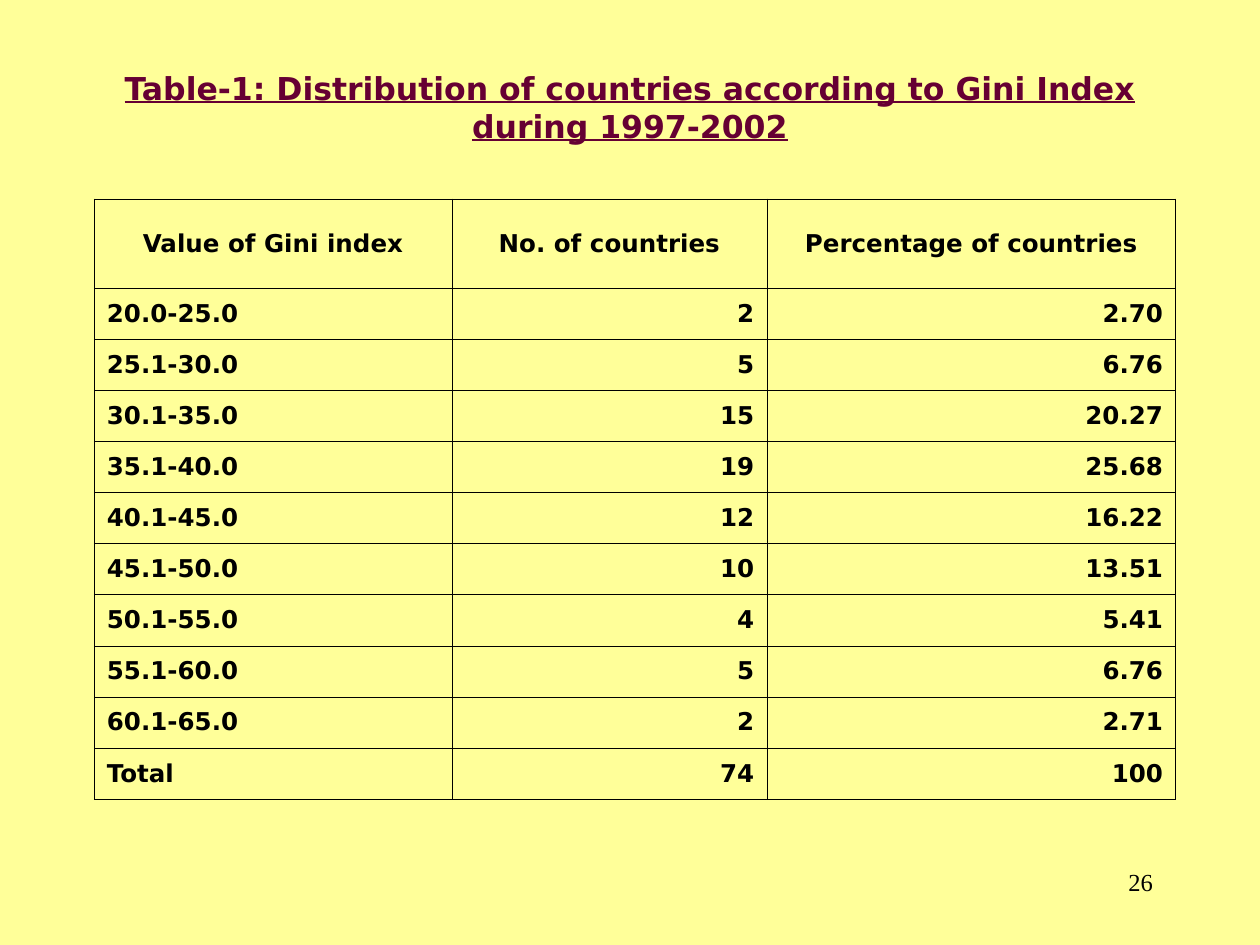
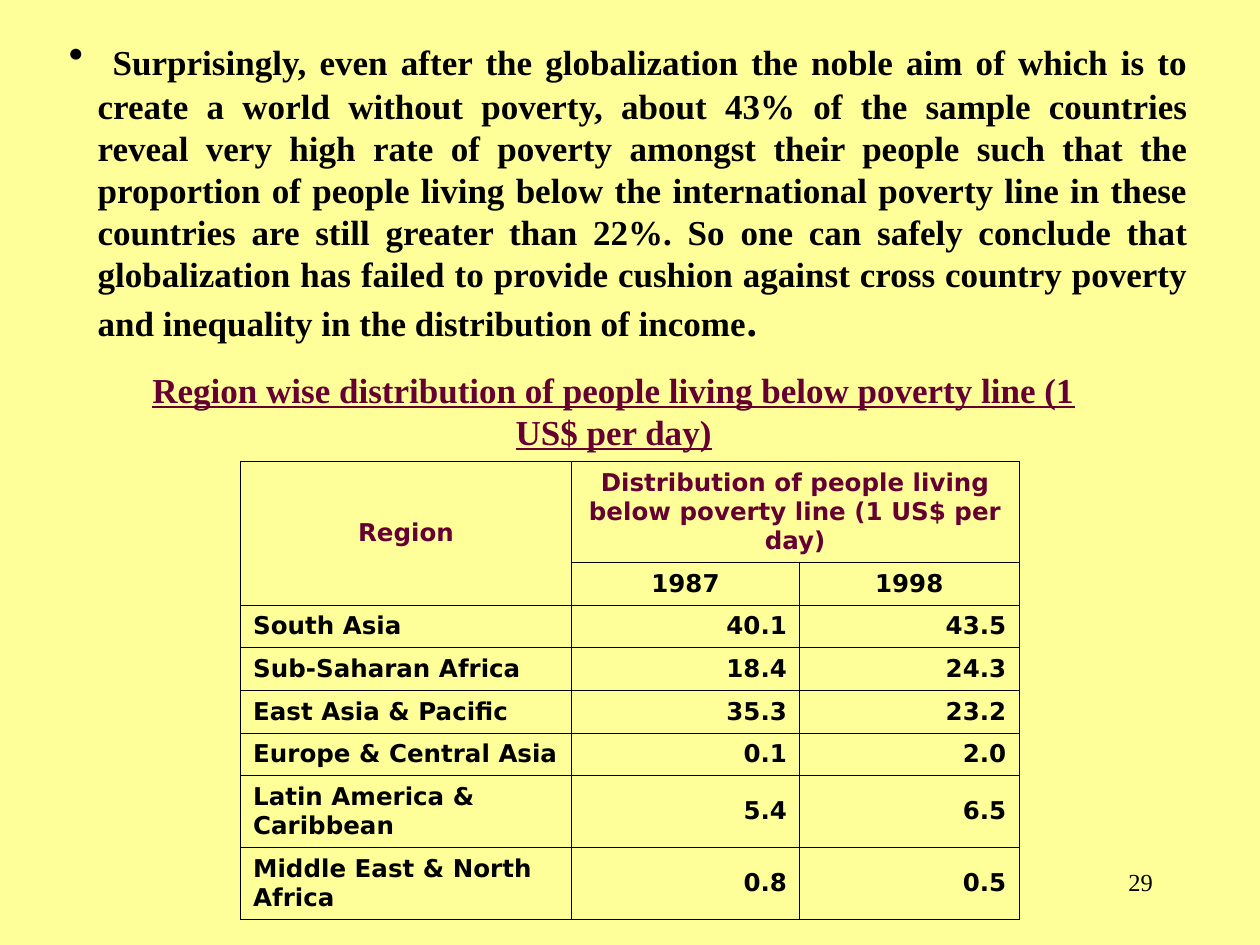
from lxml.etree import SubElement
from pptx import Presentation
from pptx.dml.color import RGBColor
from pptx.enum.text import MSO_ANCHOR, PP_ALIGN
from pptx.oxml.ns import qn
from pptx.util import Cm, Pt

PAPER, INK, WINE = "FFFF99", "000000", "660033"
SANS, SERIF = "DejaVu Sans", "Times New Roman"
LEFT, CENTER, RIGHT = PP_ALIGN.LEFT, PP_ALIGN.CENTER, PP_ALIGN.RIGHT

TITLE = {"bold": True, "underline": True, "color": WINE}
CELL = {"name": SANS, "size": Pt(14), "bold": True, "color": INK}
HEADER = {**CELL, "color": WINE}
BODY = {"name": SERIF, "size": Pt(20), "bold": True, "color": INK}
BODY_EDGE = {**BODY, "size": Pt(24)}
NUMBER = {"name": SERIF, "size": Pt(14), "color": INK}

GINI_TITLE = "Table-1: Distribution of countries according to Gini Index during 1997-2002"
GINI_HEADER = ("Value of Gini index", "No. of countries", "Percentage of countries")
GINI_ROWS = [
    ("20.0-25.0", "2", "2.70"),
    ("25.1-30.0", "5", "6.76"),
    ("30.1-35.0", "15", "20.27"),
    ("35.1-40.0", "19", "25.68"),
    ("40.1-45.0", "12", "16.22"),
    ("45.1-50.0", "10", "13.51"),
    ("50.1-55.0", "4", "5.41"),
    ("55.1-60.0", "5", "6.76"),
    ("60.1-65.0", "2", "2.71"),
    ("Total", "74", "100"),
]

POVERTY_TEXT = (
    "Surprisingly, even after the globalization the noble aim of which is to create "
    "a world without poverty, about 43% of the sample countries reveal very high rate "
    "of poverty amongst their people such that the proportion of people living below "
    "the international poverty line in these countries are still greater than 22%. "
    "So one can safely conclude that globalization has failed to provide cushion "
    "against cross country poverty and inequality in the distribution of income"
)
POVERTY_TITLE = "Region wise distribution of people living below poverty line (1 US$ per day)"
POVERTY_HEADER = ("Region", "Distribution of people living below poverty line (1 US$ per day)", "")
POVERTY_YEARS = ("", "1987", "1998")
POVERTY_ROWS = [
    ("South Asia", "40.1", "43.5"),
    ("Sub-Saharan Africa", "18.4", "24.3"),
    ("East Asia & Pacific", "35.3", "23.2"),
    ("Europe & Central Asia", "0.1", "2.0"),
    ("Latin America & Caribbean", "5.4", "6.5"),
    ("Middle East & North Africa", "0.8", "0.5"),
]


def rgb(value):
    return RGBColor.from_string(value)


def add_span(para, text, style):
    span = para.add_run()
    span.text = text
    for key, value in style.items():
        if key == "color":
            span.font.color.rgb = rgb(value)
        else:
            setattr(span.font, key, value)


def add_text(page, place, spans, align, anchor=MSO_ANCHOR.TOP):
    box = page.shapes.add_textbox(*map(Cm, place))
    box.text_frame.word_wrap = True
    box.text_frame.vertical_anchor = anchor
    para = box.text_frame.paragraphs[0]
    para.alignment = align
    for text, style in spans:
        add_span(para, text, style)
    return para


def add_bullet(para, indent):
    props = para._p.get_or_add_pPr()
    props.set("marL", str(Cm(indent)))
    props.set("indent", str(-Cm(indent)))
    SubElement(props, qn("a:buChar"), char="•")


def add_borders(cell):
    props = cell._tc.get_or_add_tcPr()
    for index, side in enumerate(("lnL", "lnR", "lnT", "lnB")):
        line = props.makeelement(qn(f"a:{side}"), {"w": str(Pt(0.45))})
        fill = SubElement(line, qn("a:solidFill"))
        SubElement(fill, qn("a:srgbClr"), val=INK)
        props.insert(index, line)


def add_grid(page, place, widths, heights, headers, rows):
    lines = [(texts, style, (CENTER,) * 3) for texts, style in headers]
    lines += [(texts, CELL, (LEFT, RIGHT, RIGHT)) for texts in rows]
    size = (sum(widths), sum(heights))
    table = page.shapes.add_table(len(lines), len(widths), *map(Cm, place + size)).table
    for column, width in zip(table.columns, widths):
        column.width = Cm(width)
    for row, height, (texts, style, aligns) in zip(table.rows, heights, lines):
        row.height = Cm(height)
        for cell, text, align in zip(row.cells, texts, aligns):
            cell.fill.background()
            cell.vertical_anchor = MSO_ANCHOR.MIDDLE
            add_borders(cell)
            para = cell.text_frame.paragraphs[0]
            para.alignment = align
            if text:
                add_span(para, text, style)
    return table


def add_page(deck, number):
    page = deck.slides.add_slide(deck.slide_layouts[6])
    page.background.fill.solid()
    page.background.fill.fore_color.rgb = rgb(PAPER)
    add_text(page, (18.21, 17.35, 5.28, 1.27), [(number, NUMBER)], RIGHT)
    return page


def add_gini_page(deck):
    page = add_page(deck, "26")
    style = {**TITLE, "name": SANS, "size": Pt(18)}
    add_text(page, (1.27, 1.27, 22.86, 2.54), [(GINI_TITLE, style)], CENTER)
    heights = [1.8] + [1.03] * len(GINI_ROWS)
    add_grid(page, (1.9, 4.01), (7.21, 6.35, 8.24), heights, [(GINI_HEADER, CELL)], GINI_ROWS)


def add_poverty_page(deck):
    page = add_page(deck, "29")
    spans = [(" ", {**BODY_EDGE, "bold": False}), (POVERTY_TEXT, BODY), (".", BODY_EDGE)]
    para = add_text(page, (1.14, 0.56, 23.06, 6.53), spans, PP_ALIGN.JUSTIFY)
    add_bullet(para, 0.58)
    style = {**TITLE, "name": SERIF, "size": Pt(20)}
    add_text(page, (2.11, 7.29, 20.52, 1.96), [(POVERTY_TITLE, style)], CENTER, MSO_ANCHOR.MIDDLE)
    headers = [(POVERTY_HEADER, HEADER), (POVERTY_YEARS, CELL)]
    heights = [2.03] + [0.86] * 5 + [1.45] * 2
    table = add_grid(page, (4.85, 9.3), (6.67, 4.6, 4.42), heights, headers, POVERTY_ROWS)
    table.cell(0, 0).merge(table.cell(1, 0))
    table.cell(0, 1).merge(table.cell(0, 2))


def main():
    deck = Presentation()
    deck.slide_width, deck.slide_height = Cm(25.4), Cm(19.05)
    add_gini_page(deck)
    add_poverty_page(deck)
    deck.save("out.pptx")


if __name__ == "__main__":
    main()
